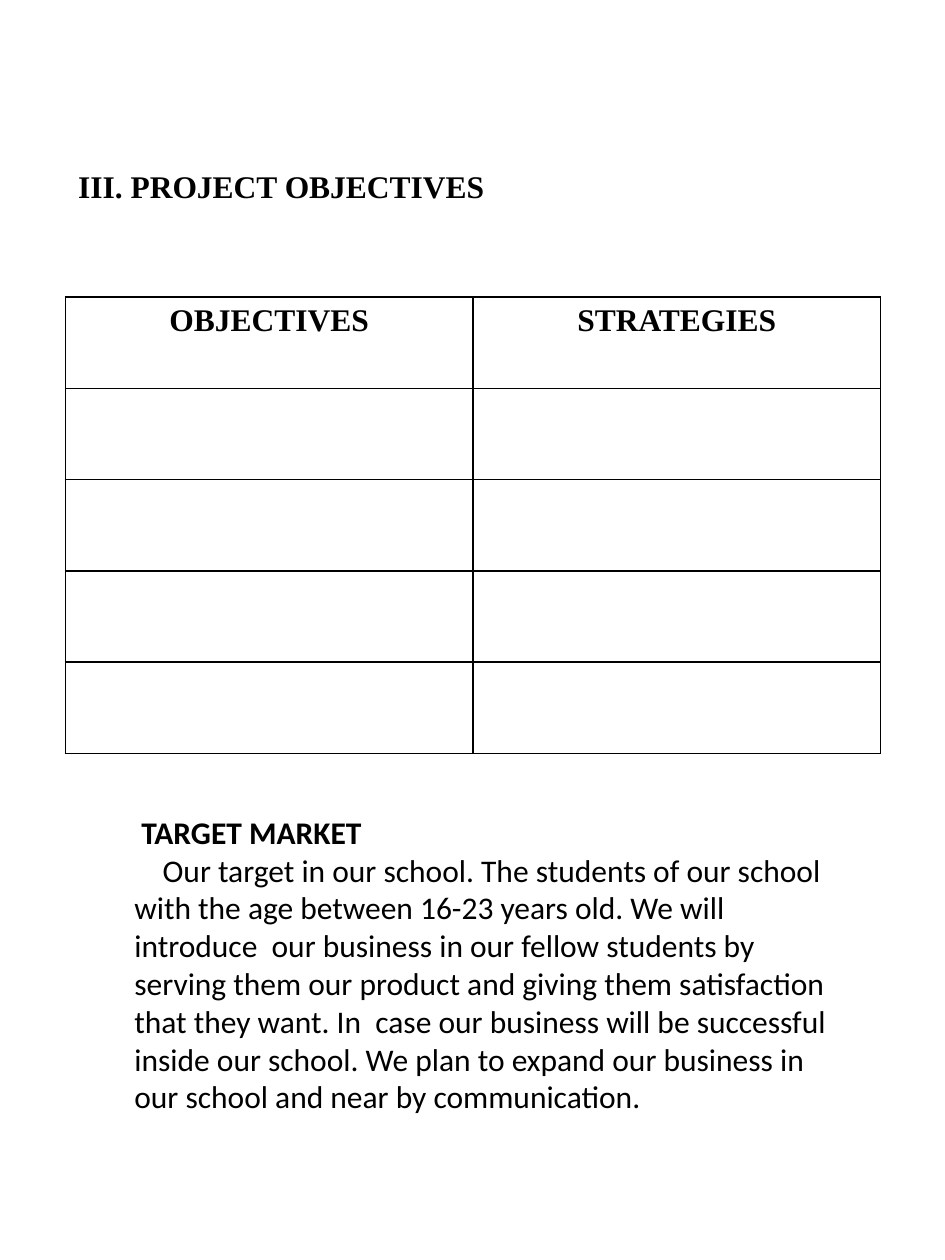
from dataclasses import dataclass

from lxml.etree import SubElement
from pptx import Presentation
from pptx.dml.color import RGBColor
from pptx.enum.text import MSO_ANCHOR as Anchor, MSO_AUTO_SIZE as AutoSize, PP_ALIGN as Align
from pptx.oxml.ns import qn
from pptx.util import Cm, Pt

BLACK = "000000"
WHITE = "FFFFFF"
SERIF = "Times New Roman"
SANS = "Calibri"
LEFT = 1.32
WIDTH = 16.43


@dataclass
class Passage:
    text: str
    bold: bool
    indent: float


HEADERS = ["OBJECTIVES", "STRATEGIES"]
EMPTY_ROWS = 4
ROW_HEIGHT = 1.84
PASSAGES = [
    Passage("TARGET MARKET", True, 0.14),
    Passage(
        "Our target in our school. The students of our school with the age between "
        "16-23 years old. We will introduce  our business in our fellow students by "
        "serving them our product and giving them satisfaction that they want. "
        "In  case our business will be successful inside our school. We plan to expand "
        "our business in our school and near by communication.",
        False,
        0.57,
    ),
]


def color(value: str) -> RGBColor:
    return RGBColor.from_string(value)


def add_span(para, text: str, font: str, bold: bool) -> None:
    span = para.add_run()
    span.text = text
    span.font.name = font
    span.font.size = Pt(18)
    span.font.bold = bold
    span.font.color.rgb = color(BLACK)


def style_cell(cell) -> None:
    properties = cell._tc.get_or_add_tcPr()
    for side in ("a:lnL", "a:lnR", "a:lnT", "a:lnB"):
        line = SubElement(properties, qn(side), w=str(Pt(1)))
        fill = SubElement(line, qn("a:solidFill"))
        SubElement(fill, qn("a:srgbClr"), val=BLACK)
    cell.fill.solid()
    cell.fill.fore_color.rgb = color(WHITE)


def add_title(page) -> None:
    title = page.shapes.title
    title.left, title.top = Cm(LEFT), Cm(1.35)
    title.width, title.height = Cm(WIDTH), Cm(4.9)
    title.text_frame.vertical_anchor = Anchor.MIDDLE
    para = title.text_frame.paragraphs[0]
    para.alignment = Align.LEFT
    para.line_spacing = 0.9
    add_span(para, "III. PROJECT OBJECTIVES", SERIF, True)


def add_objectives(page) -> None:
    rows = EMPTY_ROWS + 1
    table = page.shapes.add_table(
        rows, len(HEADERS), Cm(LEFT), Cm(5.99), Cm(WIDTH), Cm(rows * ROW_HEIGHT)
    ).table
    for row in table.rows:
        row.height = Cm(ROW_HEIGHT)
    for cell in table.iter_cells():
        style_cell(cell)
    for column, header in enumerate(HEADERS):
        para = table.cell(0, column).text_frame.paragraphs[0]
        para.alignment = Align.CENTER
        add_span(para, header, SERIF, True)


def add_market(page) -> None:
    box = page.shapes.add_textbox(Cm(2.46), Cm(16.26), Cm(14.58), Cm(6.42))
    frame = box.text_frame
    frame.word_wrap = True
    frame.auto_size = AutoSize.SHAPE_TO_FIT_TEXT
    for index, passage in enumerate(PASSAGES):
        para = frame.add_paragraph() if index else frame.paragraphs[0]
        para.alignment = Align.LEFT
        para._p.get_or_add_pPr().set("indent", str(Cm(passage.indent)))
        add_span(para, passage.text, SANS, passage.bold)


def main() -> None:
    deck = Presentation()
    deck.slide_width, deck.slide_height = Cm(19.05), Cm(25.4)
    page = deck.slides.add_slide(deck.slide_layouts[5])
    page.background.fill.solid()
    page.background.fill.fore_color.rgb = color(WHITE)
    add_title(page)
    add_objectives(page)
    add_market(page)
    deck.save("out.pptx")


main()
